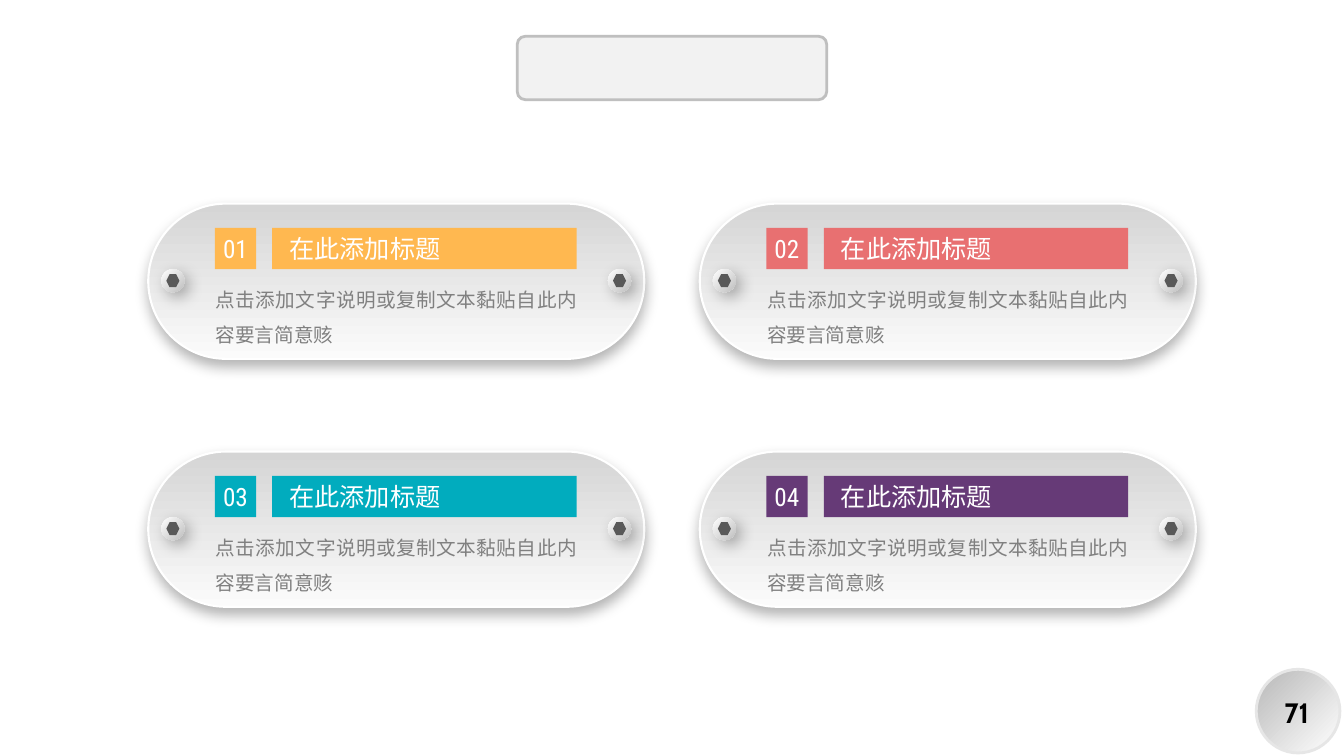
from lxml.etree import SubElement
from pptx import Presentation
from pptx.dml.color import RGBColor
from pptx.enum.shapes import MSO_SHAPE
from pptx.enum.text import MSO_AUTO_SIZE, PP_ALIGN
from pptx.oxml.ns import qn
from pptx.util import Inches, Pt

COLORS = {
    "white": "FFFFFF", "black": "000000", "header": "F2F2F2", "border": "BFBFBF",
    "plate_top": "D5D5D5", "plate_bottom": "FBFBFB", "bolt": "595959",
    "body": "808080", "page_dark": "B8B8B8", "page_edge": "E6E6E6",
}
ACCENTS = ["FFB850", "E87071", "01ACBE", "663A77"]
CJK = "Noto Sans CJK SC"

prs = Presentation()
prs.slide_width, prs.slide_height = Inches(13.33), Inches(7.5)
slide = prs.slides.add_slide(prs.slide_layouts[6])


def add_block(kind, box, fill, line=None, angle=None, shadow=None):
    block = slide.shapes.add_shape(kind, *map(Inches, box))
    block.shadow.inherit = False
    if angle is None:
        block.fill.solid()
        block.fill.fore_color.rgb = RGBColor.from_string(fill)
    else:
        block.fill.gradient()
        block.fill.gradient_angle = 360 - angle
        for stop, color in zip(block.fill.gradient_stops, fill):
            stop.color.rgb = RGBColor.from_string(color)
    if line:
        block.line.color.rgb = RGBColor.from_string(line[0])
        block.line.width = Pt(line[1])
    else:
        block.line.fill.background()
    if shadow:
        alpha, blur, distance, direction = shadow
        effects = block._element.spPr.find(qn("a:effectLst"))
        outer = SubElement(effects, qn("a:outerShdw"), blurRad=str(Pt(blur)),
                           dist=str(Pt(distance)), dir=str(direction * 60000),
                           algn="ctr", rotWithShape="0")
        tone = SubElement(outer, qn("a:srgbClr"), val=COLORS["black"])
        SubElement(tone, qn("a:alpha"), val=str(alpha * 1000))
    return block


def add_label(box, text, size, font, color, align=PP_ALIGN.CENTER, wrap=False):
    frame = slide.shapes.add_textbox(*map(Inches, box)).text_frame
    frame.word_wrap = wrap
    frame.auto_size = MSO_AUTO_SIZE.SHAPE_TO_FIT_TEXT
    paragraph = frame.paragraphs[0]
    paragraph.text = text
    paragraph.alignment = align
    paragraph.font.size = Pt(size)
    paragraph.font.name = font
    paragraph.font.color.rgb = RGBColor.from_string(color)
    SubElement(paragraph._p.pPr.find(qn("a:defRPr")), qn("a:ea"), typeface=font)
    return paragraph


header = add_block(MSO_SHAPE.ROUNDED_RECTANGLE, (5.13, 0.36, 3.07, 0.63),
                   COLORS["header"], (COLORS["border"], 2))
header.adjustments[0] = 0.13

for index, accent in enumerate(ACCENTS):
    row, column = divmod(index, 2)
    left, top = 1.47 + 5.47 * column, 2.02 + 2.46 * row

    plate = add_block(MSO_SHAPE.ROUNDED_RECTANGLE, (left, top, 4.92, 1.54),
                      (COLORS["plate_top"], COLORS["plate_bottom"]),
                      (COLORS["white"], 1.5), 90, (30, 10, 5, 90))
    plate.adjustments[0] = 0.5

    for bolt_left in (left + 0.13, left + 4.56):
        add_block(MSO_SHAPE.OVAL, (bolt_left, top + 0.65, 0.23, 0.23),
                  (COLORS["white"], COLORS["border"]), angle=45, shadow=(29, 11, 5, 45))
        add_block(MSO_SHAPE.HEXAGON, (bolt_left + 0.05, top + 0.7, 0.13, 0.13),
                  COLORS["bolt"])

    add_block(MSO_SHAPE.RECTANGLE, (left + 0.66, top + 0.24, 0.41, 0.41), accent)
    add_block(MSO_SHAPE.RECTANGLE, (left + 1.23, top + 0.24, 3.02, 0.41), accent)
    add_label((left + 1.3, top + 0.25, 1.7, 0.4), "在此添加标题", 18, CJK, COLORS["white"])
    add_label((left + 0.62, top + 0.25, 0.49, 0.4), f"{index + 1:02}", 18,
              "Roboto Condensed", COLORS["white"])
    description = add_label((left + 0.57, top + 0.67, 3.78, 0.77),
                            "点击添加文字说明或复制文本黏贴自此内容要言简意赅",
                            14, CJK, COLORS["body"], PP_ALIGN.JUSTIFY, True)
    description.line_spacing = 1.5

add_block(MSO_SHAPE.OVAL, (12.46, 6.64, 0.83, 0.83),
          (COLORS["page_dark"], COLORS["white"]), (COLORS["page_edge"], 2), 45)
page_number = add_label((12.61, 6.85, 0.5, 0.44), "71", 20, "Cabin", COLORS["black"])
page_number.font.bold = True

prs.save("out.pptx")
